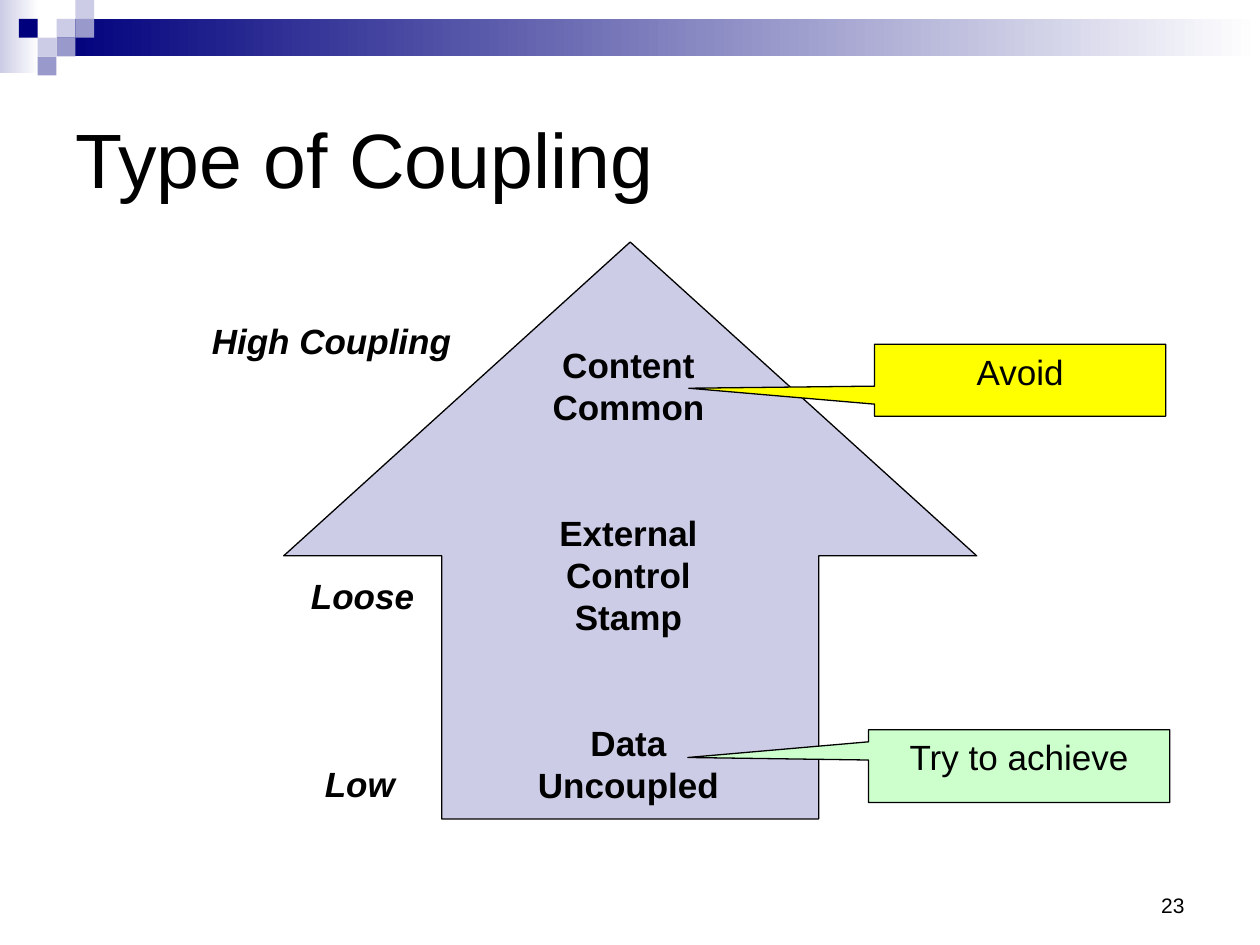
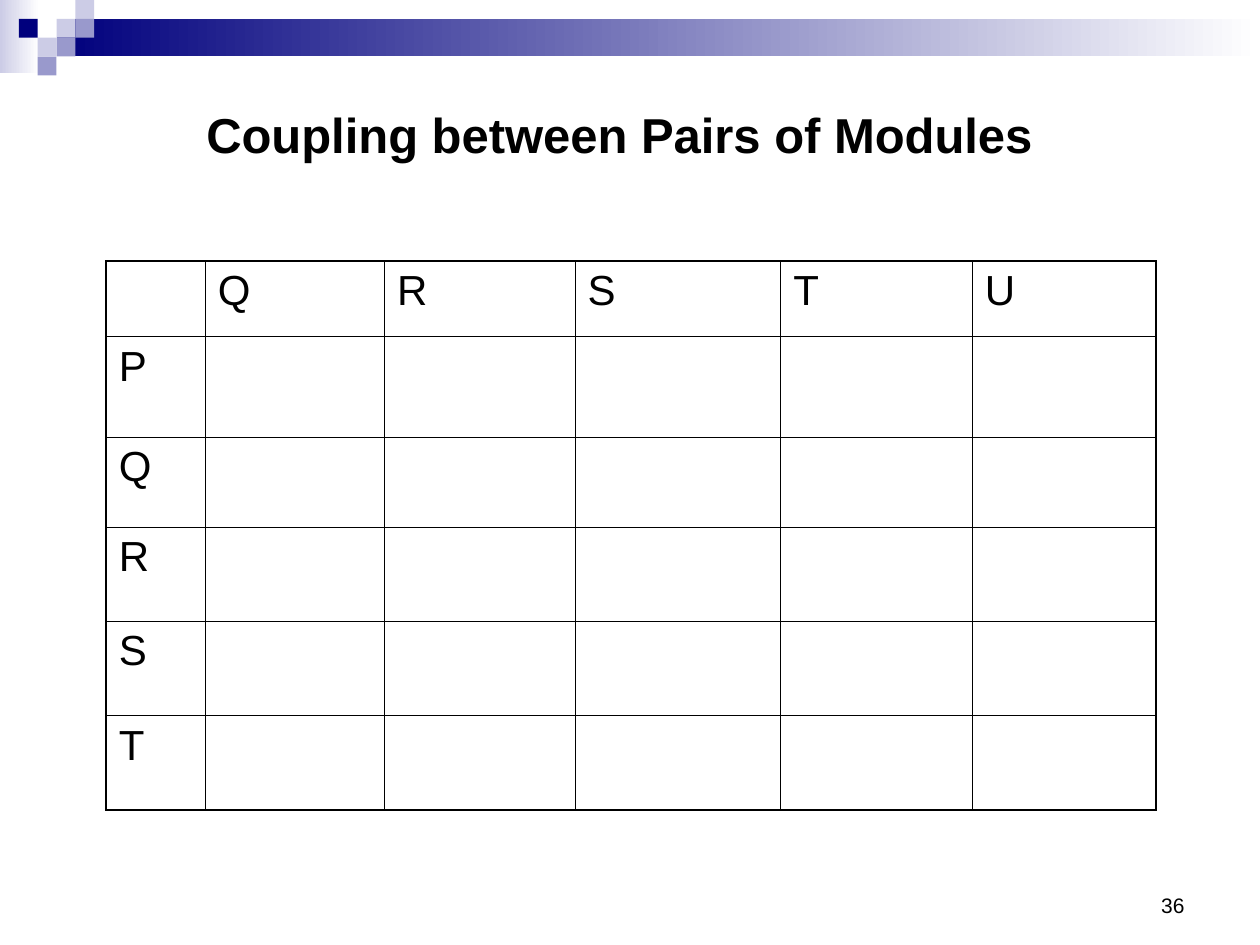
from lxml import etree
from pptx import Presentation
from pptx.dml.color import RGBColor
from pptx.enum.shapes import MSO_SHAPE
from pptx.enum.text import MSO_ANCHOR, PP_ALIGN
from pptx.oxml.ns import qn
from pptx.util import Cm, Pt

RECTANGLE = MSO_SHAPE.RECTANGLE
UP_ARROW = MSO_SHAPE.UP_ARROW
CALLOUT = MSO_SHAPE.RECTANGULAR_CALLOUT
LEFT, CENTER, RIGHT = PP_ALIGN.LEFT, PP_ALIGN.CENTER, PP_ALIGN.RIGHT
TOP, MIDDLE, BOTTOM = MSO_ANCHOR.TOP, MSO_ANCHOR.MIDDLE, MSO_ANCHOR.BOTTOM

FONT = "Arial"
BLACK, WHITE = "000000", "FFFFFF"
NAVY, LAVENDER, PERIWINKLE = "00007D", "CCCCE6", "9999CC"
YELLOW, MINT = "FFFF00", "CCFFCC"

BAND_BOX = (0, 0, 25.4, 1.9)
TITLE_BOX = (1.27, 1.27, 22.86, 3.81)
NUMBER_BOX = (18.21, 17.35, 5.92, 1.27)
ARROW_BOX = (5.72, 4.88, 13.97, 11.63)
HEADING_BOX = (3.91, 1.98, 17.6, 1.45)
TABLE_BOX = (2.14, 5.26, 21.17, 11.07)

THIN, THICK = 0.45, 1.08


def color(hex_code):
    return RGBColor.from_string(hex_code)


def lengths(box):
    return [Cm(value) for value in box]


def inside(box, offset_x, offset_y, width, height):
    """Return a box placed by offsets from the corner of another."""
    return box[0] + offset_x, box[1] + offset_y, width, height


def add_block(slide, kind, box, fill, outline=None):
    """Add a preset shape; a pair of fills makes a left-to-right gradient."""
    block = slide.shapes.add_shape(kind, *lengths(box))
    block.shadow.inherit = False
    if isinstance(fill, tuple):
        block.fill.gradient()
        block.fill.gradient_angle = 0
        for stop, shade in zip(block.fill.gradient_stops, fill):
            stop.color.rgb = color(shade)
    else:
        block.fill.solid()
        block.fill.fore_color.rgb = color(fill)
    if outline:
        block.line.color.rgb = color(outline)
        block.line.width = Pt(0.75)
    else:
        block.line.fill.background()
    return block


def style(paragraph, size, align=LEFT, bold=False, italic=False):
    paragraph.alignment = align
    font = paragraph.font
    font.name, font.size = FONT, Pt(size)
    font.bold, font.italic = bold, italic
    font.color.rgb = color(BLACK)


def add_text(slide, box, text, size, align=LEFT, anchor=TOP,
             bold=False, italic=False):
    frame = slide.shapes.add_textbox(*lengths(box)).text_frame
    frame.word_wrap = True
    frame.vertical_anchor = anchor
    frame.text = text
    for paragraph in frame.paragraphs:
        style(paragraph, size, align, bold, italic)
    return frame


def add_band(slide, box):
    unit = 0.38
    width = box[2]
    add_block(slide, RECTANGLE, inside(box, 0, 0, 0.79, 1.47), (LAVENDER, WHITE))
    add_block(slide, RECTANGLE,
              inside(box, 3 * unit, unit, width - 3 * unit, 2 * unit), (NAVY, WHITE))
    squares = [(3, 1, LAVENDER), (4, 0, LAVENDER), (4, 1, PERIWINKLE),
               (2, 2, LAVENDER), (1, 1, NAVY), (3, 2, PERIWINKLE),
               (2, 3, PERIWINKLE)]
    for column, row, fill in squares:
        add_block(slide, RECTANGLE,
                  inside(box, column * unit, row * unit, unit, unit), fill)


def add_page(deck, number):
    """Add a slide with the shared band and slide number."""
    slide = deck.slides.add_slide(deck.slide_layouts[6])
    add_band(slide, BAND_BOX)
    add_text(slide, NUMBER_BOX, str(number), 12, RIGHT, BOTTOM)
    return slide


def add_callout(slide, box, text, fill, pointer):
    callout = add_block(slide, CALLOUT, box, fill, BLACK)
    callout.adjustments[0], callout.adjustments[1] = pointer
    frame = callout.text_frame
    frame.word_wrap = True
    frame.vertical_anchor = TOP
    frame.text = text
    style(frame.paragraphs[0], 20, CENTER)


def add_coupling_arrow(slide, box):
    arrow = add_block(slide, UP_ARROW, box, LAVENDER, BLACK)
    arrow.adjustments[0] = arrow.adjustments[1] = 0.544

    levels = [("High Coupling", -1.7, 1.43, 5.8),
              ("Loose", 0.3, 6.58, 2.9),
              ("Low", 0.58, 10.36, 2.4)]
    for level, x, y, width in levels:
        add_text(slide, inside(box, x, y, width, 1.12), level, 20,
                 bold=True, italic=True)

    groups = [("Content", "Common"), ("External", "Control", "Stamp"),
              ("Data", "Uncoupled")]
    kinds = add_text(slide, inside(box, 4.65, 1.91, 4.6, 9.58),
                     "\n".join(kind for group in groups for kind in group),
                     20, CENTER, bold=True)
    group_starts = [group[0] for group in groups[1:]]
    for paragraph in kinds.paragraphs:
        paragraph.line_spacing = Pt(24)
        if paragraph.text in group_starts:
            paragraph.space_before = Pt(48)

    add_callout(slide, inside(box, 11.91, 2.06, 5.87, 1.45), "Avoid",
                YELLOW, (-1.138, 0.112))
    add_callout(slide, inside(box, 11.79, 9.83, 6.07, 1.47), "Try to achieve",
                MINT, (-1.1, -0.118))


def set_borders(cell, widths):
    properties = cell._tc.get_or_add_tcPr()
    for side, width in zip(("lnL", "lnR", "lnT", "lnB"), widths):
        line = etree.SubElement(properties, qn(f"a:{side}"), w=str(int(Pt(width))))
        fill = etree.SubElement(line, qn("a:solidFill"))
        etree.SubElement(fill, qn("a:srgbClr"), val=BLACK)


def add_module_table(slide, box):
    column_heads = ["", "Q", "R", "S", "T", "U"]
    row_heads = ["", "P", "Q", "R", "S", "T"]
    column_widths = [2, 3.61, 3.84, 4.15, 3.86, 3.71]
    row_heights = [1.53, 2.03, 1.81, 1.9, 1.9, 1.9]
    last_row, last_column = len(row_heads) - 1, len(column_heads) - 1

    table = slide.shapes.add_table(len(row_heads), len(column_heads),
                                   *lengths(box)).table
    table.first_row = table.horz_banding = False
    for column, width in zip(table.columns, column_widths):
        column.width = Cm(width)
    for row, height in zip(table.rows, row_heights):
        row.height = Cm(height)

    for r, row_head in enumerate(row_heads):
        for c, column_head in enumerate(column_heads):
            cell = table.cell(r, c)
            edges = (c == 0, c == last_column, r == 0, r == last_row)
            set_borders(cell, [THICK if edge else THIN for edge in edges])
            cell.fill.background()
            head = column_head if r == 0 else row_head if c == 0 else ""
            if head:
                cell.text = head
                paragraph = cell.text_frame.paragraphs[0]
                style(paragraph, 24)
                paragraph.space_before = Pt(6)


def main():
    deck = Presentation()
    deck.slide_width, deck.slide_height = Cm(25.4), Cm(19.05)

    types_slide = add_page(deck, 23)
    add_text(types_slide, TITLE_BOX, "Type of Coupling", 44, anchor=MIDDLE)
    add_coupling_arrow(types_slide, ARROW_BOX)

    pairs_slide = add_page(deck, 36)
    add_text(pairs_slide, HEADING_BOX, "Coupling between Pairs of Modules", 28,
             bold=True)
    add_module_table(pairs_slide, TABLE_BOX)

    deck.save("out.pptx")


if __name__ == "__main__":
    main()
